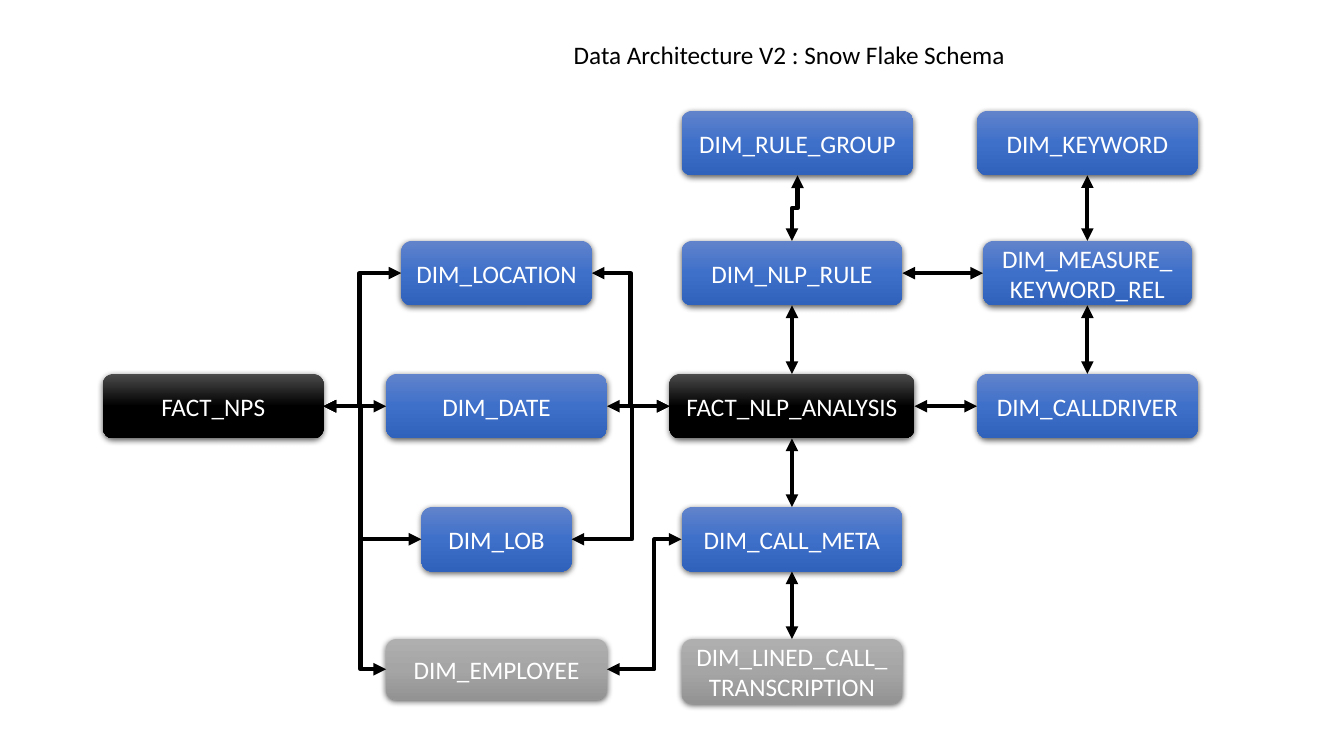
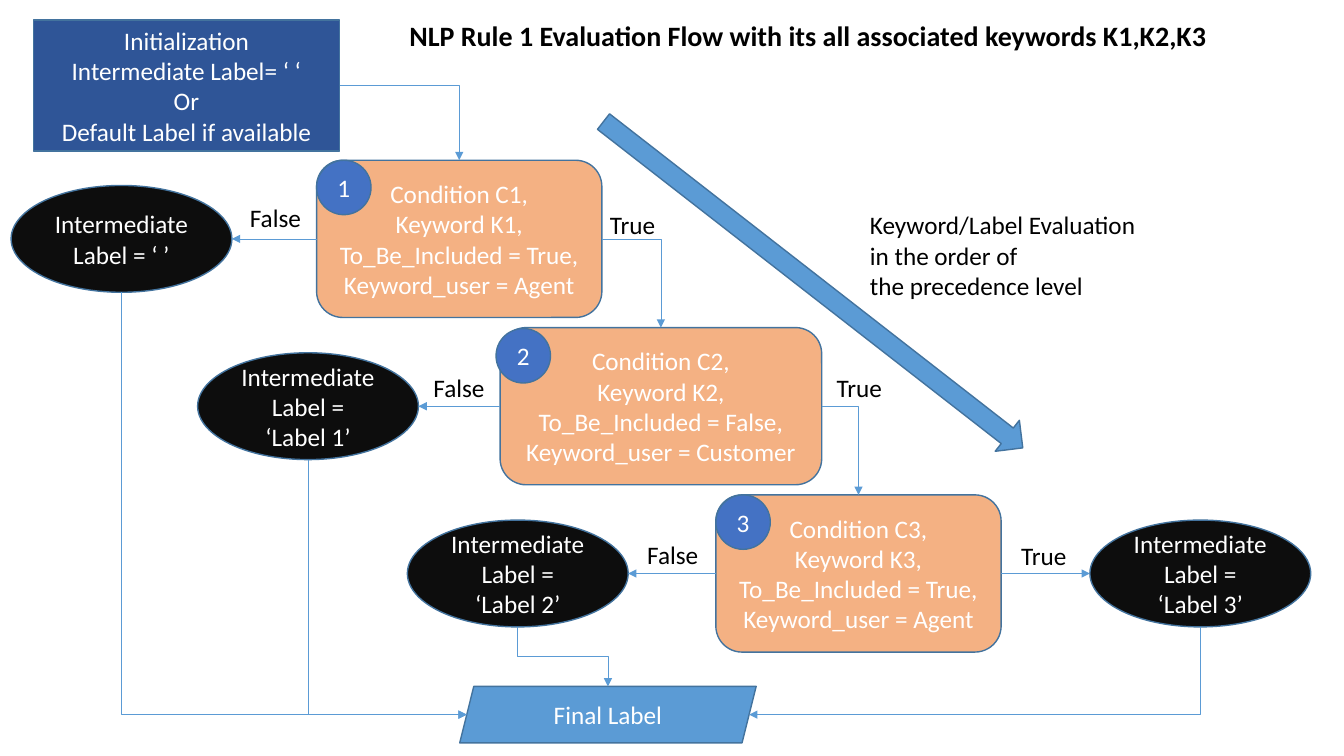
from pptx import Presentation
from pptx.dml.color import RGBColor
from pptx.enum.shapes import MSO_CONNECTOR, MSO_SHAPE
from pptx.enum.text import MSO_ANCHOR, PP_ALIGN
from pptx.oxml import parse_xml
from pptx.oxml.ns import nsdecls, qn
from pptx.util import Pt
from lxml.etree import SubElement

PX = 9144
FONT = "Calibri"
COLORS = {
    "black": "000000", "white": "FFFFFF", "outline": "43739E", "flow": "5B9BD5",
    "condition": "F4B183", "start": "2F5597", "badge": "4472C4", "label": "0D0D0D",
}
GRADIENTS = {
    "dimension": ("6183CB", "3E70CA", "3062BB"),
    "fact": ("4B4B4B", "000000", "000000"),
    "planned": ("AFAFAF", "A5A5A5", "939393"),
}
TOP, LEFT, BOTTOM, RIGHT = range(4)
SITES = {
    MSO_SHAPE.OVAL: {TOP: 0, LEFT: 2, BOTTOM: 4, RIGHT: 6},
    MSO_SHAPE.PARALLELOGRAM: {TOP: 0, LEFT: 5, RIGHT: 2},
}
SLANT = 7


def write(part, text, color="white", align=PP_ALIGN.CENTER, anchor=MSO_ANCHOR.MIDDLE,
          size=18, bold=False, wrap=True):
    frame = part.text_frame
    frame.text = text
    frame.word_wrap = wrap
    frame.vertical_anchor = anchor
    for paragraph in frame.paragraphs:
        paragraph.alignment = align
        for run in paragraph.runs:
            run.font.name = FONT
            run.font.size = Pt(size)
            run.font.bold = bold
            run.font.color.rgb = RGBColor.from_string(COLORS[color])


def link(slide, start, finish, color, width, heads, bend=None, adjust=50000, upright=False):
    kind = MSO_CONNECTOR.ELBOW if bend else MSO_CONNECTOR.STRAIGHT
    connector = slide.shapes.add_connector(kind, 0, 0, 0, 0)
    connector.begin_connect(*start)
    connector.end_connect(*finish)
    for (part, side), tag in ((start, "a:stCxn"), (finish, "a:endCxn")):
        if part.auto_shape_type in SITES:
            site = next(connector._element.iter(qn(tag)))
            site.set("idx", str(SITES[part.auto_shape_type][side]))
    if start[0].auto_shape_type == MSO_SHAPE.PARALLELOGRAM:
        connector.begin_x += SLANT * PX * {LEFT: 1, RIGHT: -1}[start[1]]
    properties = connector._element.spPr
    if upright:
        across = connector.end_x - connector.begin_x
        down = connector.end_y - connector.begin_y
        middle_x = connector.begin_x + across // 2
        middle_y = connector.begin_y + down // 2
        connector.left, connector.top = middle_x - down // 2, middle_y - abs(across) // 2
        connector.width, connector.height = down, abs(across)
        properties.xfrm.set("rot", "5400000")
        properties.xfrm.set("flipH", "0")
        properties.xfrm.set("flipV", "1" if across > 0 else "0")
    if bend:
        geometry = properties.find(qn("a:prstGeom"))
        geometry.set("prst", bend)
        if bend == "bentConnector3":
            SubElement(geometry.find(qn("a:avLst")), qn("a:gd"), name="adj1", fmla=f"val {adjust}")
    connector.line.color.rgb = RGBColor.from_string(COLORS[color])
    connector.line.width = Pt(width)
    outline = properties.find(qn("a:ln"))
    for head in heads:
        SubElement(outline, qn(f"a:{head}"), type="triangle")
    SubElement(properties, qn("a:effectLst"))


deck = Presentation()
deck.slide_width, deck.slide_height = 1333 * PX, 750 * PX

titles = [
    ("Data Architecture V2 : Snow Flake Schema", 559, 34, 473, 40, 18, False),
    ("NLP Rule 1 Evaluation Flow with its all associated keywords K1,K2,K3",
     396, 13, 837, 44, 20, True),
]
slides = []
for text, x, y, w, h, size, bold in titles:
    slide = deck.slides.add_slide(deck.slide_layouts[5])
    title = slide.shapes.title
    title.left, title.top, title.width, title.height = (v * PX for v in (x, y, w, h))
    write(title, text, "black", PP_ALIGN.LEFT, MSO_ANCHOR.TOP, size, bold)
    slides.append(slide)
schema, flow = slides

ROWS = [110, 239, 371, 503, 634]
tables = {}
for name, x, row, w, h, style in [
    ("DIM_RULE_GROUP", 676, 0, 230, 64, "dimension"),
    ("DIM_KEYWORD", 969, 0, 219, 64, "dimension"),
    ("DIM_LOCATION", 398, 1, 189, 64, "dimension"),
    ("DIM_NLP_RULE", 676, 1, 219, 64, "dimension"),
    ("DIM_MEASURE_KEYWORD_REL", 975, 1, 207, 64, "dimension"),
    ("FACT_NPS", 102, 2, 219, 64, "fact"),
    ("DIM_DATE", 383, 2, 219, 64, "dimension"),
    ("FACT_NLP_ANALYSIS", 664, 2, 243, 64, "fact"),
    ("DIM_CALLDRIVER", 969, 2, 219, 64, "dimension"),
    ("DIM_LOB", 418, 3, 149, 64, "dimension"),
    ("DIM_CALL_META", 676, 3, 219, 64, "dimension"),
    ("DIM_EMPLOYEE", 383, 4, 219, 60, "planned"),
    ("DIM_LINED_CALL_TRANSCRIPTION", 676, 4, 219, 64, "planned"),
]:
    table = schema.shapes.add_shape(
        MSO_SHAPE.ROUNDED_RECTANGLE, x * PX, ROWS[row] * PX, w * PX, h * PX)
    stops = "".join(
        f'<a:gs pos="{i * 50000}"><a:srgbClr val="{color}"/></a:gs>'
        for i, color in enumerate(GRADIENTS[style]))
    table._element.spPr.append(parse_xml(
        f'<a:gradFill {nsdecls("a")} rotWithShape="1"><a:gsLst>{stops}</a:gsLst>'
        '<a:lin ang="5400000" scaled="0"/></a:gradFill>'))
    table.line.fill.background()
    table._element.spPr.append(parse_xml(
        f'<a:effectLst {nsdecls("a")}><a:outerShdw blurRad="57150" dist="19050" dir="5400000"'
        ' algn="ctr" rotWithShape="0"><a:srgbClr val="000000"><a:alpha val="63000"/>'
        '</a:srgbClr></a:outerShdw></a:effectLst>'))
    write(table, name)
    tables[name] = table

BOTH = ("headEnd", "tailEnd")
for upper, lower in [
    ("DIM_NLP_RULE", "FACT_NLP_ANALYSIS"),
    ("FACT_NLP_ANALYSIS", "DIM_CALL_META"),
    ("DIM_CALL_META", "DIM_LINED_CALL_TRANSCRIPTION"),
    ("DIM_KEYWORD", "DIM_MEASURE_KEYWORD_REL"),
    ("DIM_MEASURE_KEYWORD_REL", "DIM_CALLDRIVER"),
]:
    link(schema, (tables[upper], BOTTOM), (tables[lower], TOP), "black", 3, BOTH)
for before, after in [
    ("FACT_NPS", "DIM_DATE"),
    ("DIM_DATE", "FACT_NLP_ANALYSIS"),
    ("FACT_NLP_ANALYSIS", "DIM_CALLDRIVER"),
    ("DIM_NLP_RULE", "DIM_MEASURE_KEYWORD_REL"),
]:
    link(schema, (tables[before], RIGHT), (tables[after], LEFT), "black", 3, BOTH)
for begin, begin_side, end, end_side, adjust in [
    ("FACT_NPS", RIGHT, "DIM_LOCATION", LEFT, 46300),
    ("DIM_LOB", LEFT, "FACT_NPS", RIGHT, 61700),
    ("DIM_EMPLOYEE", LEFT, "FACT_NPS", RIGHT, 40900),
    ("FACT_NLP_ANALYSIS", LEFT, "DIM_LOCATION", RIGHT, 50000),
    ("FACT_NLP_ANALYSIS", LEFT, "DIM_LOB", RIGHT, 38300),
    ("DIM_CALL_META", LEFT, "DIM_EMPLOYEE", RIGHT, 36500),
]:
    link(schema, (tables[begin], begin_side), (tables[end], end_side),
         "black", 3, BOTH, "bentConnector3", adjust)
link(schema, (tables["DIM_RULE_GROUP"], BOTTOM), (tables["DIM_NLP_RULE"], TOP),
     "black", 3, BOTH, "bentConnector3", upright=True)

CONDITION = "Condition C{0},\nKeyword K{0},\nTo_Be_Included = {1},\nKeyword_user = {2}"
LABEL = "Intermediate\vLabel = {}"
steps = {}
for key, kind, text, x, y, w, h, fill in [
    ("start", MSO_SHAPE.RECTANGLE,
     "Initialization\nIntermediate Label= ‘ ‘\nOr\nDefault Label if available",
     33, 20, 304, 130, "start"),
    ("C1", MSO_SHAPE.ROUNDED_RECTANGLE, CONDITION.format(1, "True", "Agent"),
     314, 159, 283, 156, "condition"),
    ("C2", MSO_SHAPE.ROUNDED_RECTANGLE, CONDITION.format(2, "False", "Customer"),
     496, 325, 319, 156, "condition"),
    ("C3", MSO_SHAPE.ROUNDED_RECTANGLE, CONDITION.format(3, "True", "Agent"),
     710, 491, 283, 156, "condition"),
    ("badge 1", MSO_SHAPE.OVAL, "1", 314, 159, 54, 54, "badge"),
    ("badge 2", MSO_SHAPE.OVAL, "2", 492, 326, 54, 54, "badge"),
    ("badge 3", MSO_SHAPE.OVAL, "3", 710, 491, 54, 54, "badge"),
    ("L0", MSO_SHAPE.OVAL, LABEL.format("‘ ’"), 11, 184, 219, 106, "label"),
    ("L1", MSO_SHAPE.OVAL, LABEL.format("‘Label 1’"), 196, 350, 219, 106, "label"),
    ("L2", MSO_SHAPE.OVAL, LABEL.format("‘Label 2’"), 404, 516, 219, 106, "label"),
    ("L3", MSO_SHAPE.OVAL, LABEL.format("‘Label 3’"), 1081, 516, 219, 106, "label"),
    ("precedence", MSO_SHAPE.DOWN_ARROW, "", 787, 19, 39, 527, "flow"),
    ("final", MSO_SHAPE.PARALLELOGRAM, "Final Label", 456, 681, 294, 56, "flow"),
]:
    step = flow.shapes.add_shape(kind, x * PX, y * PX, w * PX, h * PX)
    step.shadow.inherit = False
    step.fill.solid()
    step.fill.fore_color.rgb = RGBColor.from_string(COLORS[fill])
    step.line.color.rgb = RGBColor.from_string(COLORS["outline"])
    step.line.width = Pt(1)
    write(step, text)
    steps[key] = step
steps["precedence"].rotation = 307.9

for text, x, y, w, h in [
    ("Keyword/Label Evaluation\nin the order of\nthe precedence level", 853, 203, 298, 101),
    ("True", 595, 203, 66, 40),
    ("True", 820, 364, 66, 40),
    ("True", 1003, 531, 66, 40),
    ("False", 238, 196, 71, 40),
    ("False", 420, 364, 71, 40),
    ("False", 632, 530, 71, 40),
]:
    caption = flow.shapes.add_textbox(x * PX, y * PX, w * PX, h * PX)
    write(caption, text, "black", PP_ALIGN.LEFT, MSO_ANCHOR.TOP, wrap=w > 100)

for begin, begin_side, end, end_side, bend, head in [
    ("start", RIGHT, "C1", TOP, "bentConnector2", "tailEnd"),
    ("C1", RIGHT, "C2", TOP, "bentConnector2", "tailEnd"),
    ("C2", RIGHT, "C3", TOP, "bentConnector2", "tailEnd"),
    ("C1", LEFT, "L0", RIGHT, None, "tailEnd"),
    ("C2", LEFT, "L1", RIGHT, None, "tailEnd"),
    ("C3", LEFT, "L2", RIGHT, None, "tailEnd"),
    ("C3", RIGHT, "L3", LEFT, None, "tailEnd"),
    ("final", LEFT, "L0", BOTTOM, "bentConnector2", "headEnd"),
    ("final", LEFT, "L1", BOTTOM, "bentConnector2", "headEnd"),
    ("final", RIGHT, "L3", BOTTOM, "bentConnector2", "headEnd"),
    ("L2", BOTTOM, "final", TOP, "bentConnector3", "tailEnd"),
]:
    link(flow, (steps[begin], begin_side), (steps[end], end_side),
         "flow", 0.5, (head,), bend, upright=begin_side == BOTTOM)

deck.save("out.pptx")
